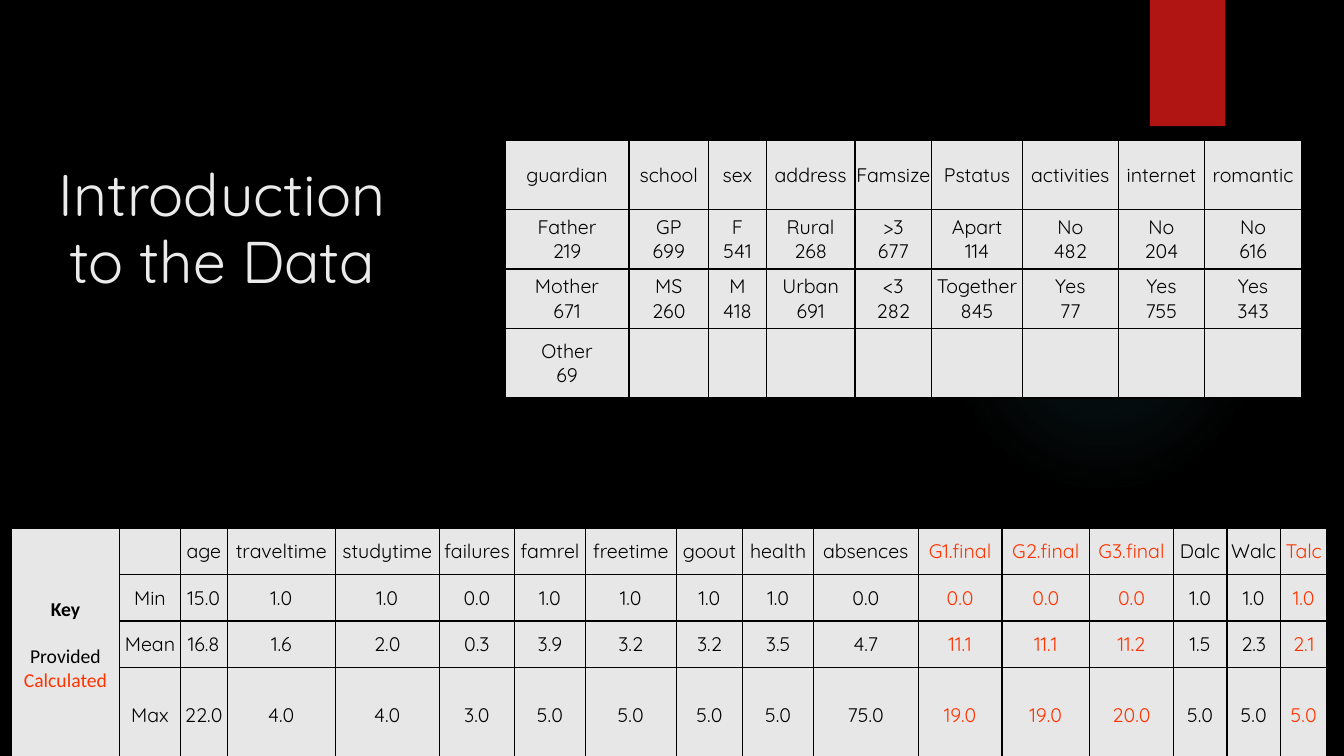
from lxml.etree import SubElement
from pptx import Presentation
from pptx.dml.color import RGBColor
from pptx.enum.shapes import MSO_SHAPE
from pptx.enum.text import MSO_ANCHOR, PP_ALIGN
from pptx.oxml.ns import qn
from pptx.util import Cm, Pt

BLACK, CELL_GREY, ORANGE = "000000", "E7E7E7", "FF3300"

CATEGORY_WIDTHS = [3.12, 2.01, 1.45, 2.24, 1.93, 2.29, 2.41, 2.18, 2.44]
CATEGORY_HEIGHTS = [1.75, 1.5, 1.5, 1.75]
CATEGORIES = [
    ["guardian", "school", "sex", "address", "Famsize", "Pstatus",
     "activities", "internet", "romantic"],
    ["Father\n219", "GP\n699", "F\n541", "Rural\n268", ">3\n677", "Apart\n114",
     "No\n482", "No\n204", "No\n616"],
    ["Mother\n671", "MS\n260", "M\n418", "Urban\n691", "<3\n282", "Together\n845",
     "Yes\n77", "Yes\n755", "Yes\n343"],
    ["Other\n69"] + [""] * 8,
]

SUMMARY_WIDTHS = [2.74, 1.52, 1.19, 2.72, 2.62, 1.9, 1.78, 2.29, 1.68, 1.78,
                  2.64, 2.11, 2.21, 2.11, 1.35, 1.35, 1.17]
SUMMARY_HEIGHTS = [1.17] * 4
SUMMARY = [
    ["", "", "age", "traveltime", "studytime", "failures", "famrel", "freetime", "goout",
     "health", "absences", "G1.final", "G2.final", "G3.final", "Dalc", "Walc", "Talc"],
    ["", "Min", "15.0", "1.0", "1.0", "0.0", "1.0", "1.0", "1.0",
     "1.0", "0.0", "0.0", "0.0", "0.0", "1.0", "1.0", "1.0"],
    ["", "Mean", "16.8", "1.6", "2.0", "0.3", "3.9", "3.2", "3.2",
     "3.5", "4.7", "11.1", "11.1", "11.2", "1.5", "2.3", "2.1"],
    ["", "Max", "22.0", "4.0", "4.0", "3.0", "5.0", "5.0", "5.0",
     "5.0", "75.0", "19.0", "19.0", "20.0", "5.0", "5.0", "5.0"],
]
CALCULATED = {"G1.final", "G2.final", "G3.final", "Talc"}


def rgb(value):
    return RGBColor.from_string(value)


def write(frame, text, size, color, font="Quicksand"):
    frame.text = text
    for paragraph in frame.paragraphs:
        paragraph.alignment = PP_ALIGN.CENTER
        for run in paragraph.runs:
            run.font.size = Pt(size)
            run.font.name = font
            run.font.bold = False
            run.font.color.rgb = rgb(color)


def add_plain_shape(slide, preset, left, top, width, height, color):
    shape = slide.shapes.add_shape(preset, Cm(left), Cm(top), Cm(width), Cm(height))
    shape.shadow.inherit = False
    shape.line.fill.background()
    shape.fill.solid()
    shape.fill.fore_color.rgb = rgb(color)
    return shape


def add_glow(slide):
    glow = add_plain_shape(slide, MSO_SHAPE.OVAL, 23.9, 4.65, 7.82, 7.82, "50B9C1")
    properties = glow.element.spPr
    gradient = properties.makeelement(qn("a:gradFill"))
    stops = SubElement(gradient, qn("a:gsLst"))
    for position, opacity in [(0, 7), (36, 6), (69, 0)]:
        stop = SubElement(stops, qn("a:gs"), pos=str(position * 1000))
        tint = SubElement(stop, qn("a:srgbClr"), val="50B9C1")
        SubElement(tint, qn("a:alpha"), val=str(opacity * 1000))
    center = SubElement(gradient, qn("a:path"), path="circle")
    SubElement(center, qn("a:fillToRect"), l="50000", t="50000", r="50000", b="50000")
    properties.replace(properties.find(qn("a:solidFill")), gradient)


def add_title(slide):
    title = slide.shapes.add_textbox(Cm(0.71), Cm(1.12), Cm(9.78), Cm(9.35)).text_frame
    title.word_wrap = True
    title.vertical_anchor = MSO_ANCHOR.MIDDLE
    write(title, "Introduction to the Data", 42, "EBEBEB")
    title.paragraphs[0].line_spacing = 0.95


def style_cell(cell):
    cell.margin_left = cell.margin_right = cell.margin_top = cell.margin_bottom = 0
    cell.vertical_anchor = MSO_ANCHOR.MIDDLE
    properties = cell._tc.get_or_add_tcPr()
    for side in ("a:lnL", "a:lnR", "a:lnT", "a:lnB"):
        border = SubElement(properties, qn(side), w=str(Pt(1)))
        SubElement(SubElement(border, qn("a:solidFill")), qn("a:srgbClr"), val=BLACK)
    cell.fill.solid()
    cell.fill.fore_color.rgb = rgb(CELL_GREY)


def add_data_table(slide, left, top, widths, heights, rows):
    table = slide.shapes.add_table(len(heights), len(widths), Cm(left), Cm(top),
                                   Cm(sum(widths)), Cm(sum(heights))).table
    table.first_row = table.horz_banding = False
    for column, width in zip(table.columns, widths):
        column.width = Cm(width)
    for row, height, texts in zip(table.rows, heights, rows):
        row.height = Cm(height)
        for cell, heading, text in zip(row.cells, rows[0], texts):
            style_cell(cell)
            write(cell.text_frame, text, 14, ORANGE if heading in CALCULATED else BLACK)
    return table


def add_key(table):
    key = table.cell(0, 0)
    key.merge(table.cell(len(SUMMARY) - 1, 0))
    write(key.text_frame, "Key\nProvided\nCalculated", 14, BLACK, "Calibri")
    heading, provided, calculated = key.text_frame.paragraphs
    heading.runs[0].font.bold = True
    provided.space_before = Pt(17)
    calculated.runs[0].font.color.rgb = rgb(ORANGE)


def main():
    presentation = Presentation()
    presentation.slide_width, presentation.slide_height = Cm(33.87), Cm(19.05)
    slide = presentation.slides.add_slide(presentation.slide_layouts[6])
    slide.background.fill.solid()
    slide.background.fill.fore_color.rgb = rgb(BLACK)
    add_glow(slide)
    add_plain_shape(slide, MSO_SHAPE.RECTANGLE, 28.98, 0, 1.9, 3.18, "B01513")
    add_title(slide)
    add_data_table(slide, 12.73, 3.53, CATEGORY_WIDTHS, CATEGORY_HEIGHTS, CATEGORIES)
    summary = add_data_table(slide, 0.28, 13.31, SUMMARY_WIDTHS, SUMMARY_HEIGHTS, SUMMARY)
    add_key(summary)
    presentation.save("out.pptx")


if __name__ == "__main__":
    main()
